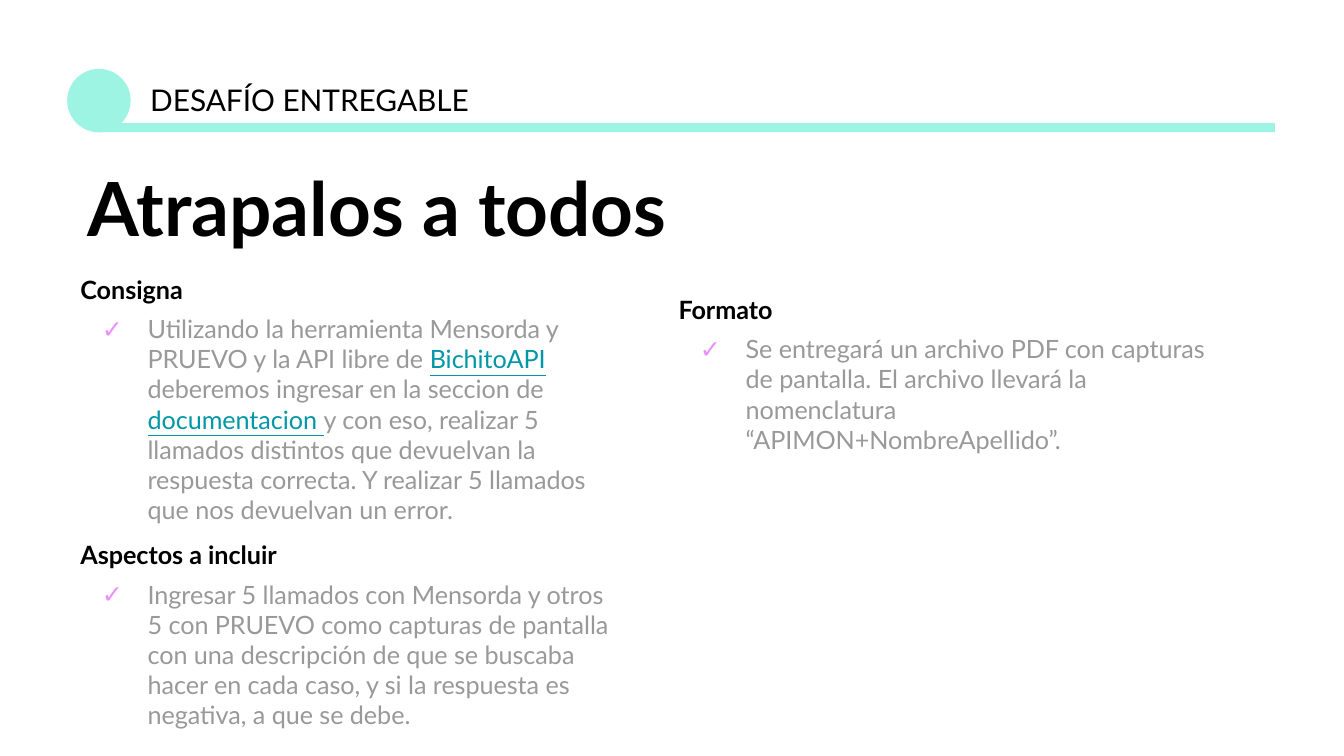
"""Build the deliverable challenge slide with its task, scope and format notes."""
from lxml.etree import SubElement
from pptx import Presentation
from pptx.dml.color import RGBColor
from pptx.enum.shapes import MSO_SHAPE as Shape
from pptx.enum.text import MSO_ANCHOR as Anchor
from pptx.oxml.ns import qn
from pptx.util import Pt

COLORS = {
    "mint": "9DF4E2",
    "black": "000000",
    "gray": "999999",
    "link": "0097A7",
    "bullet": "EA90FF",
}
FONT = "Lato"
HEADING = {"size": Pt(13.5), "bold": True}
BODY = {"size": Pt(13.5), "bold": False}
LINK = {**BODY, "underline": True}

TASK = [
    ("Utilizando la herramienta Mensorda y PRUEVO y la API libre de ", "gray", BODY),
    ("BichitoAPI ", "link", LINK),
    ("deberemos ingresar en la seccion de ", "gray", BODY),
    ("documentacion ", "link", LINK),
    ("y con eso, realizar 5 llamados distintos que devuelvan la respuesta correcta. "
     "Y realizar 5 llamados que nos devuelvan un error.", "gray", BODY),
]
SCOPE = [
    ("Ingresar 5 llamados con Mensorda y otros 5 con PRUEVO como capturas de pantalla "
     "con una descripción de que se buscaba hacer en cada caso, y si la respuesta es "
     "negativa, a que se debe.", "gray", BODY),
]
FORMAT = [
    ("Se entregará un archivo PDF con capturas de pantalla. El archivo llevará la "
     "nomenclatura “APIMON+NombreApellido”.", "gray", BODY),
]


def add_accent(page, kind, left, top, width, height):
    """Draw a plain mint shape without an outline."""
    shape = page.shapes.add_shape(kind, Pt(left), Pt(top), Pt(width), Pt(height))
    shape.shadow.inherit = False
    shape.fill.solid()
    shape.fill.fore_color.rgb = RGBColor.from_string(COLORS["mint"])
    shape.line.fill.background()


def add_box(page, left, top, width, height):
    """Add a wrapping text box and return its frame."""
    box = page.shapes.add_textbox(Pt(left), Pt(top), Pt(width), Pt(height))
    frame = box.text_frame
    settings = {"word_wrap": True, "vertical_anchor": Anchor.TOP}
    for side in ("left", "top", "right", "bottom"):
        settings[f"margin_{side}"] = Pt(7.2)
    for name, value in settings.items():
        setattr(frame, name, value)
    return frame


def add_span(para, text, color, values):
    """Append a formatted run to a paragraph."""
    span = para.add_run()
    span.text = text
    for name, value in {"name": FONT, **values}.items():
        setattr(span.font, name, value)
    span.font.color.rgb = RGBColor.from_string(COLORS[color])


def add_label(page, bounds, text, values, spacing=1.0):
    """Add a text box holding one black line."""
    para = add_box(page, *bounds).paragraphs[0]
    para.line_spacing = spacing
    add_span(para, text, "black", values)


def add_check(para):
    """Give a paragraph a hanging check mark."""
    props = para._p.get_or_add_pPr()
    props.set("marL", str(Pt(36)))
    props.set("indent", str(Pt(-24.5)))
    color = SubElement(props, qn("a:buClr"))
    SubElement(color, qn("a:srgbClr"), val=COLORS["bullet"])
    SubElement(props, qn("a:buFont"), typeface=FONT)
    SubElement(props, qn("a:buChar"), char="✓")


def add_sections(page, bounds, sections):
    """Add headings, each followed by a checked paragraph."""
    frame = add_box(page, *bounds)
    for index, (heading, spans) in enumerate(sections):
        title = frame.add_paragraph() if index else frame.paragraphs[0]
        if index:
            title.space_before = Pt(8)
        add_span(title, heading, "black", HEADING)
        para = frame.add_paragraph()
        add_check(para)
        para.space_before = Pt(4.8)
        for text, color, values in spans:
            add_span(para, text, color, values)


def main():
    """Build and save the deck."""
    deck = Presentation()
    deck.slide_width, deck.slide_height = Pt(720), Pt(405)
    page = deck.slides.add_slide(deck.slide_layouts[6])
    add_accent(page, Shape.OVAL, 36, 36.9, 34, 34)
    add_sections(page, (36, 139.7, 301.7, 261.4),
                 [("Consigna", TASK), ("Aspectos a incluir", SCOPE)])
    add_label(page, (39.6, 85, 575.3, 58.3), "Atrapalos a todos",
              {"size": Pt(40), "bold": True}, 0.9)
    add_label(page, (73.4, 36.7, 193.7, 33.8), "DESAFÍO ENTREGABLE", {"size": Pt(16)})
    add_sections(page, (356.4, 150.5, 301.7, 101.5), [("Formato", FORMAT)])
    add_accent(page, Shape.RECTANGLE, 50.4, 66, 632.6, 4.8)
    deck.save("out.pptx")


if __name__ == "__main__":
    main()
